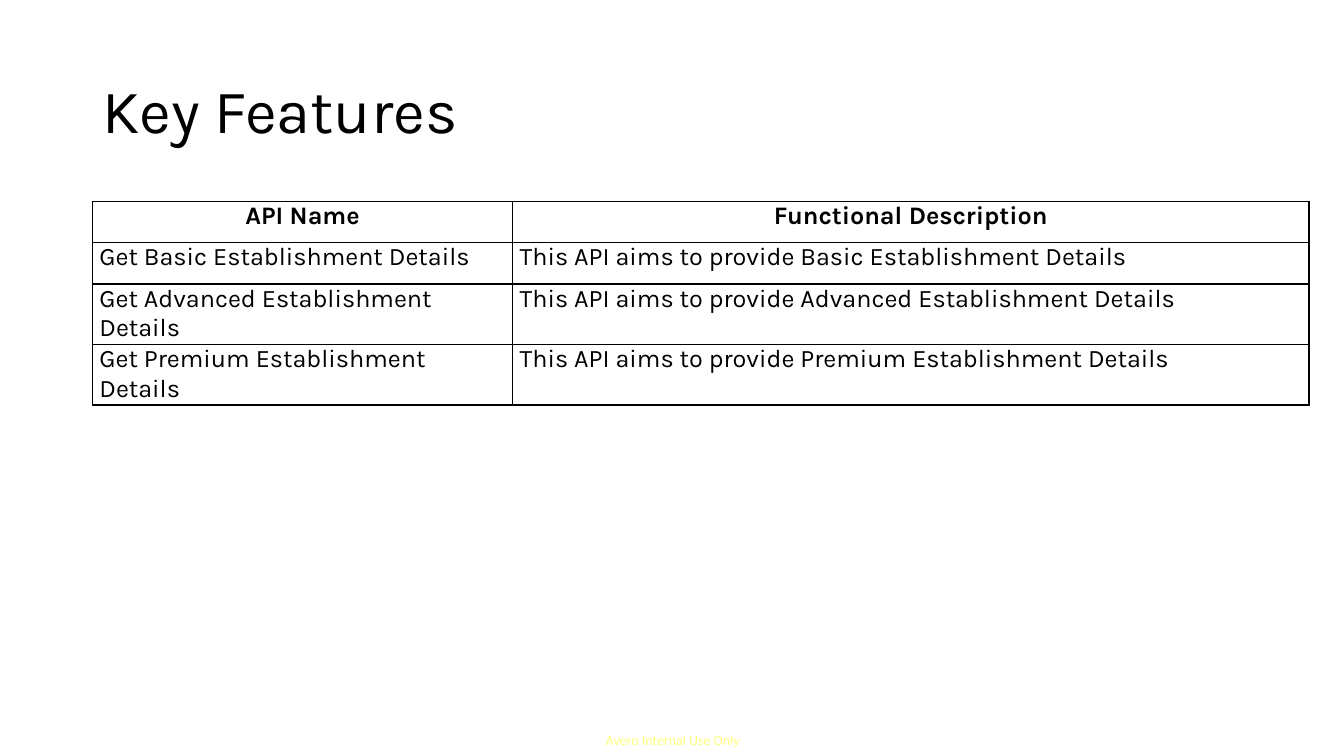
from dataclasses import dataclass

import lxml.etree
import pptx
import pptx.dml.color
import pptx.enum.text
import pptx.oxml.ns
import pptx.util

Pt = pptx.util.Pt
Align = pptx.enum.text.PP_ALIGN
Anchor = pptx.enum.text.MSO_ANCHOR
AutoSize = pptx.enum.text.MSO_AUTO_SIZE
qn = pptx.oxml.ns.qn


@dataclass(frozen=True)
class Theme:
    font: str = "Karla"
    footer_font: str = "Calibri"
    ink: str = "000000"
    footer_ink: str = "FFFF00"
    footer_opacity: int = 50
    title_size: float = 44
    table_size: float = 18
    footer_size: float = 10
    border_width: float = 1


@dataclass(frozen=True)
class Feature:
    api_name: str
    description: str


THEME = Theme()
HEADER = Feature("API Name", "Functional Description")
FEATURES = [
    Feature(
        f"Get {level} Establishment Details",
        f"This API aims to provide {level} Establishment Details",
    )
    for level in ("Basic", "Advanced", "Premium")
]
COLUMN_WIDTHS = (300.25, 568.8)
ROW_HEIGHT = 29.4
TABLE_LEFT, TABLE_TOP = 66, 144


def write_text(frame, text: str, *, size: float, font: str = THEME.font,
               color: str = THEME.ink, bold: bool = False,
               align=Align.LEFT, line_spacing: float = 1.0):
    para = frame.paragraphs[0]
    para.alignment = align
    para.line_spacing = line_spacing
    para.space_before = Pt(0)
    span = para.add_run()
    span.text = text
    span.font.name = font
    span.font.size = Pt(size)
    span.font.bold = bold
    span.font.color.rgb = pptx.dml.color.RGBColor.from_string(color)
    return span


def set_insets(frame, horizontal: float, vertical: float) -> None:
    frame.margin_left = frame.margin_right = Pt(horizontal)
    frame.margin_top = frame.margin_bottom = Pt(vertical)


def add_title(page, text: str) -> None:
    title = page.shapes.title
    title.left, title.top = Pt(66), Pt(28.8)
    title.width, title.height = Pt(828), Pt(104.4)
    frame = title.text_frame
    frame.word_wrap = True
    frame.auto_size = AutoSize.NONE
    frame.vertical_anchor = Anchor.MIDDLE
    set_insets(frame, 7.2, 3.6)
    write_text(frame, text, size=THEME.title_size, line_spacing=0.9)


def add_footer(page, text: str) -> None:
    box = page.shapes.add_textbox(Pt(432.7), Pt(522.7), Pt(96.5), Pt(12.2))
    frame = box.text_frame
    frame.word_wrap = False
    frame.auto_size = AutoSize.SHAPE_TO_FIT_TEXT
    set_insets(frame, 0, 0)
    span = write_text(frame, text, size=THEME.footer_size,
                      font=THEME.footer_font, color=THEME.footer_ink)
    tint = next(span.font._element.iter(qn("a:srgbClr")))
    lxml.etree.SubElement(tint, qn("a:alpha"),
                          val=str(THEME.footer_opacity * 1000))


def add_borders(cell) -> None:
    properties = cell._tc.get_or_add_tcPr()
    for side in ("lnL", "lnR", "lnT", "lnB"):
        line = lxml.etree.SubElement(properties, qn(f"a:{side}"),
                                     w=str(Pt(THEME.border_width)))
        fill = lxml.etree.SubElement(line, qn("a:solidFill"))
        lxml.etree.SubElement(fill, qn("a:srgbClr"), val=THEME.ink)


def fill_cell(cell, text: str, is_header: bool) -> None:
    cell.margin_left = cell.margin_right = Pt(5)
    cell.margin_top = cell.margin_bottom = Pt(0)
    add_borders(cell)
    cell.fill.background()
    write_text(cell.text_frame, text, size=THEME.table_size, bold=is_header,
               align=Align.CENTER if is_header else Align.LEFT)


def add_feature_table(page, features: list[Feature]) -> None:
    rows = [HEADER, *features]
    table = page.shapes.add_table(
        len(rows), len(COLUMN_WIDTHS), Pt(TABLE_LEFT), Pt(TABLE_TOP),
        Pt(sum(COLUMN_WIDTHS)), Pt(ROW_HEIGHT * len(rows))).table
    table.first_row = False
    table.horz_banding = False
    for column, width in zip(table.columns, COLUMN_WIDTHS):
        column.width = Pt(width)
    for index, feature in enumerate(rows):
        table.rows[index].height = Pt(ROW_HEIGHT)
        for position, text in enumerate((feature.api_name, feature.description)):
            fill_cell(table.cell(index, position), text, feature is HEADER)


def main() -> None:
    deck = pptx.Presentation()
    deck.slide_width, deck.slide_height = Pt(960), Pt(540)
    page = deck.slides.add_slide(deck.slide_layouts[5])
    add_footer(page, "Avero Internal Use Only")
    add_title(page, "Key Features")
    add_feature_table(page, FEATURES)
    deck.save("out.pptx")


if __name__ == "__main__":
    main()
